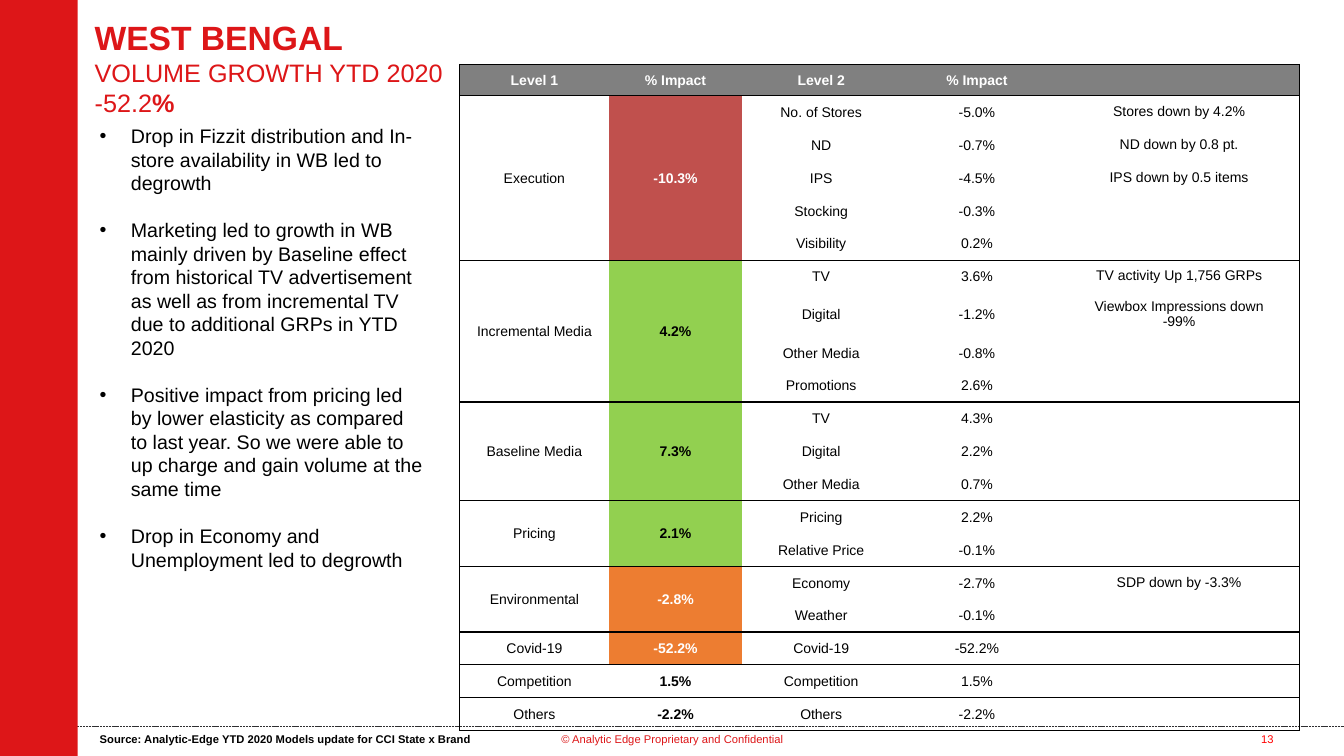
import pptx
import pptx.dml.color
import pptx.enum.dml
import pptx.enum.shapes
import pptx.enum.text
import pptx.oxml
import pptx.oxml.ns
import pptx.util
from pptx.util import Inches

RED, WHITE, BLACK, GREY = "DD1618", "FFFFFF", "000000", "808080"
BRICK, GREEN, ORANGE = "C0504D", "92D050", "ED7D31"
NO_GRID_STYLE = "{2D5ABB26-0587-4C30-8999-92F81FD0307C}"
LEFT, CENTER = pptx.enum.text.PP_ALIGN.LEFT, pptx.enum.text.PP_ALIGN.CENTER

HEADERS = ["Level 1", "% Impact", "Level 2", "% Impact", ""]
COLUMN_WIDTHS = [1.48, 1.32, 1.57, 1.52, 2.44]

# level 1, impact, fill, impact colour, [(level 2, impact, note)]
GROUPS = [
    ("Execution", "-10.3%", BRICK, WHITE, [
        ("No. of Stores", "-5.0%", "Stores down by 4.2%"),
        ("ND", "-0.7%", "ND down by 0.8 pt."),
        ("IPS", "-4.5%", "IPS down by 0.5 items"),
        ("Stocking", "-0.3%", ""),
        ("Visibility", "0.2%", "")]),
    ("Incremental Media", "4.2%", GREEN, BLACK, [
        ("TV", "3.6%", "TV activity Up 1,756 GRPs"),
        ("Digital", "-1.2%", "Viewbox Impressions down\n-99%"),
        ("Other Media", "-0.8%", ""),
        ("Promotions", "2.6%", "")]),
    ("Baseline Media", "7.3%", GREEN, BLACK, [
        ("TV", "4.3%", ""),
        ("Digital", "2.2%", ""),
        ("Other Media", "0.7%", "")]),
    ("Pricing", "2.1%", GREEN, BLACK, [
        ("Pricing", "2.2%", ""),
        ("Relative Price", "-0.1%", "")]),
    ("Environmental", "-2.8%", ORANGE, WHITE, [
        ("Economy", "-2.7%", "SDP down by -3.3%"),
        ("Weather", "-0.1%", "")]),
    ("Covid-19", "-52.2%", ORANGE, WHITE, [("Covid-19", "-52.2%", "")]),
    ("Competition", "1.5%", None, BLACK, [("Competition", "1.5%", "")]),
    ("Others", "-2.2%", None, BLACK, [("Others", "-2.2%", "")]),
]

FINDINGS = [
    "Drop in Fizzit distribution and In-store availability in WB led to degrowth",
    "Marketing led to growth in WB mainly driven by Baseline effect from historical TV "
    "advertisement as well as from incremental TV due to additional GRPs in YTD 2020",
    "Positive impact from pricing led by lower elasticity as compared to last year. "
    "So we were able to up charge and gain volume at the same time",
    "Drop in Economy and Unemployment led to degrowth",
]


def rgb(value):
    return pptx.dml.color.RGBColor.from_string(value)


def element(xml):
    """Parse a DrawingML fragment, declaring its namespace at the first space."""
    return pptx.oxml.parse_xml(xml.replace(" ", f" {pptx.oxml.ns.nsdecls('a')} ", 1))


def add_run(p, text, size=10, color=BLACK, bold=False):
    """Add formatted text, with a line break at each newline."""
    for i, line in enumerate(text.split("\n")):
        if i:
            p.add_line_break()
        if line:
            r = p.add_run()
            r.text = line
            r.font.name = "Arial"
            r.font.size = pptx.util.Pt(size)
            r.font.bold = bold
            r.font.color.rgb = rgb(color)


class SlideBuilder:
    def __init__(self, slide):
        self.slide = slide

    def bar(self, x, y, w, h, color):
        sp = self.slide.shapes.add_shape(
            pptx.enum.shapes.MSO_SHAPE.RECTANGLE, Inches(x), Inches(y), Inches(w), Inches(h))
        sp.shadow.inherit = False
        sp.fill.solid()
        sp.fill.fore_color.rgb = rgb(color)
        sp.line.fill.background()

    def dashed_rule(self, x1, x2, y):
        line = self.slide.shapes.add_connector(
            pptx.enum.shapes.MSO_CONNECTOR.STRAIGHT, Inches(x1), Inches(y), Inches(x2), Inches(y))
        line.line.color.rgb = rgb("2E2E30")
        line.line.width = pptx.util.Pt(0.5)
        line.line.dash_style = pptx.enum.dml.MSO_LINE.SQUARE_DOT
        line._element.spPr.append(element("<a:effectLst />"))

    def text(self, x, y, w, h, paragraphs, align=LEFT, wrap=True, bullet=False, gap=0):
        """Each paragraph is a list of (text, run format) pairs."""
        tf = self.slide.shapes.add_textbox(
            Inches(x), Inches(y), Inches(w), Inches(h)).text_frame
        tf.word_wrap = wrap
        for i, runs in enumerate(paragraphs):
            p = tf.add_paragraph() if i else tf.paragraphs[0]
            if bullet:
                pPr = p._p.get_or_add_pPr()
                pPr.set("marL", str(Inches(0.31)))
                pPr.set("indent", str(-Inches(0.31)))
                pPr.append(element('<a:buFont typeface="Arial"/>'))
                pPr.append(element('<a:buChar char="•"/>'))
            p.alignment = align
            if i and gap:
                p.space_before = pptx.util.Pt(gap)
            for text, style in runs:
                add_run(p, text, **style)

    def table(self, x, y, widths, heights):
        frame = self.slide.shapes.add_table(
            len(heights), len(widths), Inches(x), Inches(y),
            Inches(sum(widths)), Inches(sum(heights)))
        table = frame.table
        table.first_row = table.horz_banding = False
        table._tbl.tblPr.find(pptx.oxml.ns.qn("a:tableStyleId")).text = NO_GRID_STYLE
        for column, w in zip(table.columns, widths):
            column.width = Inches(w)
        for row, h in zip(table.rows, heights):
            row.height = Inches(h)
        return table

    def cell(self, cell, text="", edges="", fill=None, note=False, **style):
        """Format a cell; edges lists the bordered sides out of L, R, T, B."""
        margins = (0.1, 0.05, 0.05, 0.05) if note and text else (0.01, 0.01, 0.01, 0)
        (cell.margin_left, cell.margin_top,
         cell.margin_right, cell.margin_bottom) = map(Inches, margins)
        cell.vertical_anchor = pptx.enum.text.MSO_ANCHOR.MIDDLE
        for side in "LRTB":
            paint = (f'<a:solidFill><a:srgbClr val="{BLACK}"/></a:solidFill>'
                     if side in edges else "<a:noFill/>")
            cell._tc.get_or_add_tcPr().append(element(
                f'<a:ln{side} w="{pptx.util.Pt(1)}">{paint}</a:ln{side}>'))
        if fill:
            cell.fill.solid()
            cell.fill.fore_color.rgb = rgb(fill)
        else:
            cell.fill.background()
        for i, line in enumerate(text.split("\n") if text else []):
            p = cell.text_frame.add_paragraph() if i else cell.text_frame.paragraphs[0]
            p.alignment = CENTER
            if note:
                p.line_spacing = 0.93
            add_run(p, line, **style)


def add_impact_table(s):
    header_h, two_line_h, total_h = 0.31, 0.43, 6.61
    details = [d for group in GROUPS for d in group[4]]
    row_h = (total_h - header_h - two_line_h) / (len(details) - 1)
    heights = [header_h] + [two_line_h if "\n" in d[2] else row_h for d in details]
    table = s.table(4.56, 0.64, COLUMN_WIDTHS, heights)
    sides = ["L", "", "", "", "R"]

    for col, text in enumerate(HEADERS):
        s.cell(table.cell(0, col), text, sides[col] + "TB", GREY, color=WHITE, bold=True)

    first = 1
    for name, impact, fill, color, rows in GROUPS:
        last = first + len(rows) - 1
        for row, detail in enumerate(rows, first):
            edges = ("T" if row == first else "") + ("B" if row == last else "")
            for col, text in enumerate(detail, 2):
                s.cell(table.cell(row, col), text, sides[col] + edges, note=col == 4)
            if row > first:
                for col in (0, 1):
                    s.cell(table.cell(row, col), edges=sides[col] + edges)
        s.cell(table.cell(first, 0), name, "LTB")
        s.cell(table.cell(first, 1), impact, "TB", fill, color=color, bold=True)
        if last > first:
            for col in (0, 1):
                table.cell(first, col).merge(table.cell(last, col))
        first = last + 1


def main():
    prs = pptx.Presentation()
    prs.slide_width, prs.slide_height = Inches(13.33), Inches(7.5)
    s = SlideBuilder(prs.slides.add_slide(prs.slide_layouts[6]))

    s.dashed_rule(0.71, 13.33, 7.21)
    s.bar(0, 0, 0.77, 7.5, RED)
    s.text(5.27, 7.22, 2.8, 0.4, [[("© Analytic Edge Proprietary and Confidential",
                                    dict(size=8, color=RED))]], align=CENTER)
    s.text(12.26, 7.22, 0.62, 0.4, [[("13", dict(size=8, color="FF0000"))]], align=CENTER)
    s.text(0.89, 1.18, 3.43, 4.58, [[(f, dict(size=14))] for f in FINDINGS],
           bullet=True, gap=16.8)
    s.text(0.84, 0.12, 10.25, 0.86, [[
        ("WEST BENGAL\n", dict(size=24, color=RED, bold=True)),
        ("VOLUME GROWTH YTD 2020\n-52.2", dict(size=18, color=RED)),
        ("%", dict(size=18, color=RED, bold=True))]])
    add_impact_table(s)
    s.text(0.89, 7.22, 3.89, 0.24, [[
        ("Source: Analytic-Edge YTD 2020 Models update for CCI State x Brand",
         dict(size=8, bold=True))]], wrap=False)
    prs.save("out.pptx")


if __name__ == "__main__":
    main()
